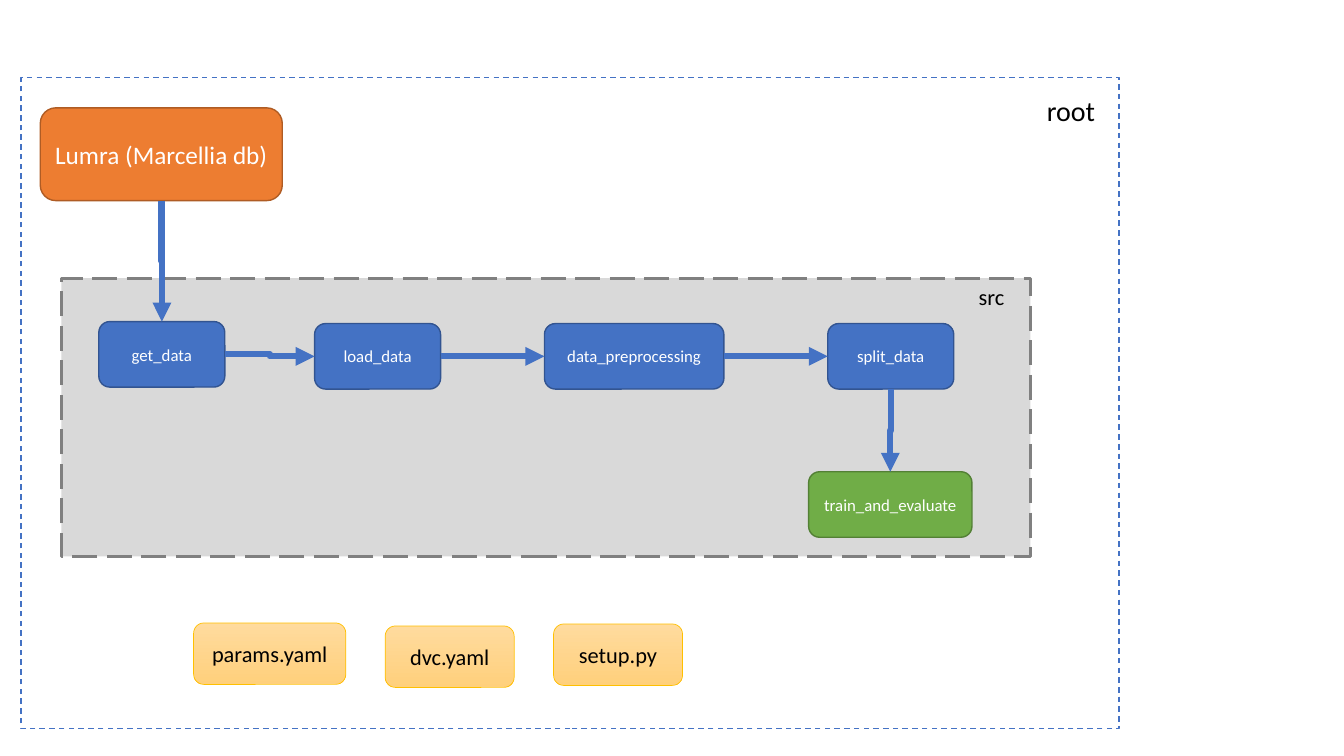
from lxml import etree
from pptx import Presentation
from pptx.dml.color import RGBColor
from pptx.enum.dml import MSO_LINE
from pptx.enum.shapes import MSO_CONNECTOR, MSO_SHAPE
from pptx.enum.text import MSO_ANCHOR, MSO_AUTO_SIZE, PP_ALIGN
from pptx.oxml.ns import qn
from pptx.util import Inches, Pt

FONT = "Calibri"
BLUE, BLUE_EDGE = "4472C4", "325491"
ORANGE, ORANGE_EDGE = "ED7D31", "AF5C24"
GREEN, GREEN_EDGE = "70AD47", "538035"
GOLD_TOP, GOLD_BOTTOM, GOLD_EDGE = "FFDB9E", "FFD07C", "FFC000"
GREY, GREY_EDGE = "D9D9D9", "808080"
WHITE, BLACK = "FFFFFF", "000000"
TOP, LEFT, BOTTOM, RIGHT = range(4)  # connection sites of a box
STEP_HEIGHT = 0.65


def color(hex_string):
    return RGBColor.from_string(hex_string)


def write(shape, text, size, text_color, alignment):
    frame = shape.text_frame
    frame.word_wrap = True
    paragraph = frame.paragraphs[0]
    paragraph.text = text
    paragraph.alignment = alignment
    paragraph.font.name = FONT
    paragraph.font.size = Pt(size)
    paragraph.font.color.rgb = color(text_color)


def add_shape(slide, kind, box, fill, edge, edge_width):
    """Fill is one colour, or a (top, bottom) pair for a gradient."""
    shape = slide.shapes.add_shape(kind, *map(Inches, box))
    shape.shadow.inherit = False
    if isinstance(fill, tuple):
        shape.fill.gradient()
        shape.fill.gradient_angle = 270
        for stop, stop_color in zip(shape.fill.gradient_stops, fill):
            stop.color.rgb = color(stop_color)
    else:
        shape.fill.solid()
        shape.fill.fore_color.rgb = color(fill)
    shape.line.color.rgb = color(edge)
    shape.line.width = Pt(edge_width)
    return shape


def add_node(slide, box, text, size, fill, edge, text_color=WHITE, edge_width=1):
    node = add_shape(slide, MSO_SHAPE.ROUNDED_RECTANGLE, box, fill, edge, edge_width)
    node.text_frame.vertical_anchor = MSO_ANCHOR.MIDDLE
    write(node, text, size, text_color, PP_ALIGN.CENTER)
    return node


def add_frame(slide, box, fill, edge, edge_width, dash):
    frame = add_shape(slide, MSO_SHAPE.RECTANGLE, box, fill, edge, edge_width)
    frame.line.dash_style = dash


def add_label(slide, box, text, size):
    label = slide.shapes.add_textbox(*map(Inches, box))
    write(label, text, size, BLACK, PP_ALIGN.RIGHT)
    label.text_frame.auto_size = MSO_AUTO_SIZE.SHAPE_TO_FIT_TEXT


def turn_downward(connector):
    """Rotate an elbow so that it leaves and arrives vertically."""
    start_x, start_y = connector.begin_x, connector.begin_y
    end_x, end_y = connector.end_x, connector.end_y
    length, drift = end_y - start_y, abs(end_x - start_x)
    transform = connector.element.spPr.find(qn("a:xfrm"))
    transform.attrib.clear()
    connector.left = (start_x + end_x - length) // 2
    connector.top = (start_y + end_y - drift) // 2
    connector.width, connector.height = length, drift
    if end_x > start_x:
        transform.set("rot", "16200000")
        transform.set("flipH", "1")
    else:
        transform.set("rot", "5400000")


def add_arrow(slide, source, target, downward=False):
    connector = slide.shapes.add_connector(MSO_CONNECTOR.ELBOW, 0, 0, 0, 0)
    connector.begin_connect(source, BOTTOM if downward else RIGHT)
    connector.end_connect(target, TOP if downward else LEFT)
    if downward:
        turn_downward(connector)
    connector.line.color.rgb = color(BLUE)
    connector.line.width = Pt(4.5)
    line = connector.line._get_or_add_ln()
    etree.SubElement(line, qn("a:tailEnd"), type="triangle")
    etree.SubElement(connector.element.spPr, qn("a:effectLst"))


def add_source_folder(slide, left, top, width, height):
    """Draw the src frame with its pipeline and return the first step."""
    add_frame(slide, (left, top, width, height), GREY, GREY_EDGE, 2.25, MSO_LINE.LONG_DASH)
    add_label(slide, (left + width - 1.06, top, 0.9, 0.37), "src", 16)
    steps = [
        add_node(slide, (left + x, top + y, step_width, STEP_HEIGHT), text, 12, BLUE, BLUE_EDGE)
        for text, x, y, step_width in (
            ("get_data", 0.37, 0.43, 1.25),
            ("load_data", 2.51, 0.45, 1.25),
            ("data_preprocessing", 4.79, 0.45, 1.78),
            ("split_data", 7.6, 0.45, 1.25),
        )
    ]
    training = add_node(slide, (left + 7.41, top + 1.92, 1.62, STEP_HEIGHT),
                        "train_and_evaluate", 12, GREEN, GREEN_EDGE)
    for source, target in zip(steps, steps[1:]):
        add_arrow(slide, source, target)
    add_arrow(slide, steps[-1], training, downward=True)
    return steps[0]


def add_config_files(slide, left, top):
    for text, x, y, width in (
        ("params.yaml", 0, 0, 1.51),
        ("dvc.yaml", 1.9, 0.03, 1.28),
        ("setup.py", 3.57, 0.01, 1.28),
    ):
        add_node(slide, (left + x, top + y, width, 0.61), text, 16,
                 (GOLD_TOP, GOLD_BOTTOM), GOLD_EDGE, BLACK, 0.5)


def add_root_folder(slide, left, top, width, height):
    add_frame(slide, (left, top, width, height), WHITE, BLUE, 1, MSO_LINE.DASH)
    add_label(slide, (left + width - 1.04, top + 0.11, 0.9, 0.44), "root", 20)
    database = add_node(slide, (left + 0.19, top + 0.3, 2.4, 0.92),
                        "Lumra (Marcellia db)", 18, ORANGE, ORANGE_EDGE)
    first_step = add_source_folder(slide, left + 0.4, top + 1.99, 9.61, 2.76)
    add_arrow(slide, database, first_step, downward=True)
    add_config_files(slide, left + 1.71, top + 5.41)


def main():
    presentation = Presentation()
    presentation.slide_width = Inches(13.33)
    presentation.slide_height = Inches(7.5)
    slide = presentation.slides.add_slide(presentation.slide_layouts[6])
    add_root_folder(slide, 0.21, 0.77, 10.89, 6.46)
    presentation.save("out.pptx")


if __name__ == "__main__":
    main()
